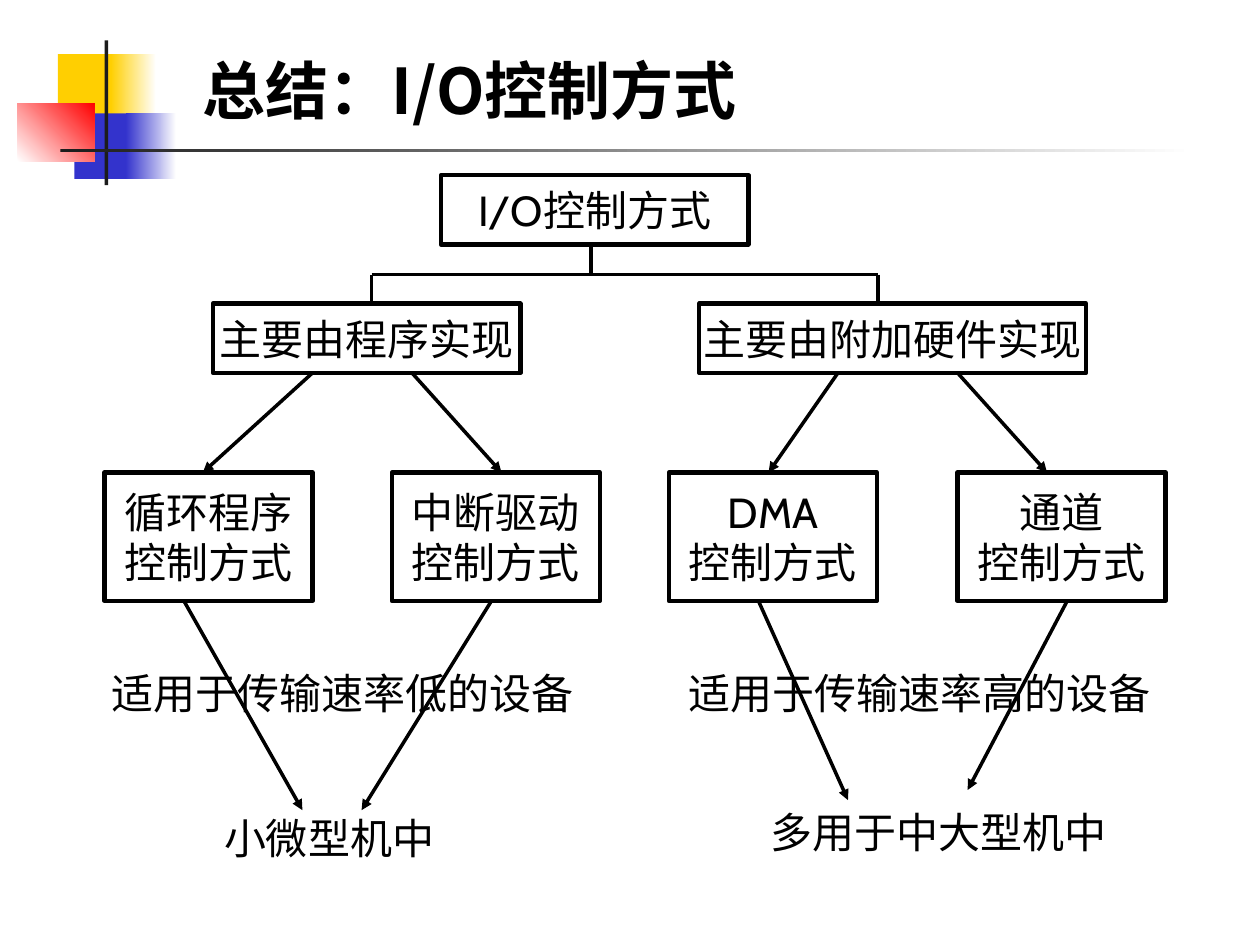
import dataclasses
import typing

import lxml.etree
import pptx
import pptx.dml.color
import pptx.enum.shapes
import pptx.enum.text
import pptx.oxml.ns
import pptx.util

Inches = pptx.util.Inches
Color = pptx.dml.color.RGBColor


@dataclasses.dataclass(frozen=True)
class Theme:
    ink: str = "000000"
    rule: str = "1C1C1C"
    paper: str = "FFFFFF"
    yellow: str = "FFCF01"
    blue: str = "3333CC"
    red: str = "FF0000"
    title_font: str = "Noto Sans CJK SC"
    body_font: str = "Cabin"
    title_size: int = 36
    body_size: int = 24
    border: float = 2.5
    connector: float = 2


THEME = Theme()


class Block(typing.NamedTuple):
    left: float
    top: float
    width: float
    height: float
    start: str
    end: typing.Optional[str] = None
    angle: float = 0


class Node(typing.NamedTuple):
    left: float
    top: float
    width: float
    height: float
    lines: tuple[str, ...]


class Link(typing.NamedTuple):
    x1: float
    y1: float
    x2: float
    y2: float
    arrow: bool = True


ROOT_TOP, BRANCH_TOP, METHOD_TOP = 1.39, 2.41, 3.75
BAR_HEIGHT, METHOD_HEIGHT, METHOD_WIDTH = 0.55, 1.02, 1.65
BRANCH_BOTTOM = BRANCH_TOP + BAR_HEIGHT
METHOD_BOTTOM = METHOD_TOP + METHOD_HEIGHT
FORK_Y, FORK_X = 2.18, (2.95, 6.97)

BLOCKS = [
    Block(0.46, 0.43, 0.48, 0.52, THEME.yellow),
    Block(0.88, 0.43, 0.36, 0.52, THEME.yellow, THEME.paper),
    Block(0.59, 0.9, 0.46, 0.52, THEME.blue),
    Block(1, 0.9, 0.4, 0.52, THEME.blue, THEME.paper),
    Block(0.14, 0.82, 0.61, 0.46, THEME.paper, THEME.red, 45),
    Block(0.83, 0.32, 0.03, 1.15, THEME.rule),
    Block(0.48, 1.18, 9, 0.03, THEME.rule, THEME.paper),
]

METHODS = [(0.83, "循环程序"), (3.11, "中断驱动"), (5.31, "DMA"), (7.6, "通道")]
NODES = [
    Node(3.5, ROOT_TOP, 2.44, BAR_HEIGHT, ("I/O控制方式",)),
    Node(1.69, BRANCH_TOP, 2.44, BAR_HEIGHT, ("主要由程序实现",)),
    Node(5.55, BRANCH_TOP, 3.07, BAR_HEIGHT, ("主要由附加硬件实现",)),
] + [
    Node(left, METHOD_TOP, METHOD_WIDTH, METHOD_HEIGHT, (name, "控制方式"))
    for left, name in METHODS
]

BRANCH_ARROWS = [(2.48, 1.61), (3.27, 3.98), (6.65, 6.1), (7.6, 8.31)]
USE_ARROWS = [(1.46, 2.4, 6.43), (3.9, 2.87, 6.43), (6.02, 6.73, 6.35), (8.47, 7.68, 6.27)]
LINKS = (
    [Link(4.69, ROOT_TOP + BAR_HEIGHT, 4.69, FORK_Y, False),
     Link(FORK_X[0], FORK_Y, FORK_X[1], FORK_Y, False)]
    + [Link(x, FORK_Y, x, BRANCH_TOP, False) for x in FORK_X]
    + [Link(x1, BRANCH_BOTTOM, x2, METHOD_TOP) for x1, x2 in BRANCH_ARROWS]
    + [Link(x1, METHOD_BOTTOM, x2, y2) for x1, x2, y2 in USE_ARROWS]
)

TITLE = Node(1.51, 0.36, 5.46, 0.7, ("总结：I/O控制方式",))
NOTES = [
    Node(1.68, 6.4, 1.9, 0.5, ("小微型机中",)),
    Node(6.02, 6.35, 2.9, 0.5, ("多用于中大型机中",)),
    Node(0.79, 5.25, 3.9, 0.5, ("适用于传输速率低的设备",)),
    Node(5.37, 5.25, 3.9, 0.5, ("适用于传输速率高的设备",)),
]


def add_element(parent, tag: str, **attributes: str) -> None:
    lxml.etree.SubElement(parent, pptx.oxml.ns.qn(tag), **attributes)


def place(item: typing.Union[Block, Node]) -> tuple:
    return tuple(Inches(length) for length in item[:4])


def write_lines(frame, lines: tuple[str, ...], font_name: str, size: int,
                bold: bool = False, centred: bool = False) -> None:
    frame.text = "\n".join(lines)
    for para in frame.paragraphs:
        para.alignment = (pptx.enum.text.PP_ALIGN.CENTER if centred
                          else pptx.enum.text.PP_ALIGN.LEFT)
        font = para.font
        font.name = font_name
        font.size = pptx.util.Pt(size)
        font.bold = bold
        font.color.rgb = Color.from_string(THEME.ink)
        properties = para._p.pPr.find(pptx.oxml.ns.qn("a:defRPr"))
        add_element(properties, "a:ea", typeface=font_name)


def draw_block(slide, block: Block) -> None:
    shape = slide.shapes.add_shape(pptx.enum.shapes.MSO_SHAPE.RECTANGLE, *place(block))
    shape.shadow.inherit = False
    shape.line.fill.background()
    if block.end is None:
        shape.fill.solid()
        shape.fill.fore_color.rgb = Color.from_string(block.start)
        return
    shape.fill.gradient()
    shape.fill.gradient_angle = block.angle
    for stop, position, color in zip(shape.fill.gradient_stops, (0, 1), (block.start, block.end)):
        stop.position = position
        stop.color.rgb = Color.from_string(color)


def draw_node(slide, node: Node) -> None:
    box = slide.shapes.add_shape(pptx.enum.shapes.MSO_SHAPE.RECTANGLE, *place(node))
    box.shadow.inherit = False
    box.fill.background()
    box.line.color.rgb = Color.from_string(THEME.ink)
    box.line.width = pptx.util.Pt(THEME.border)
    frame = box.text_frame
    frame.word_wrap = False
    frame.vertical_anchor = pptx.enum.text.MSO_ANCHOR.MIDDLE
    write_lines(frame, node.lines, THEME.body_font, THEME.body_size, centred=True)


def draw_link(slide, link: Link) -> None:
    ends = (Inches(length) for length in link[:4])
    line = slide.shapes.add_connector(pptx.enum.shapes.MSO_CONNECTOR.STRAIGHT, *ends)
    line.line.color.rgb = Color.from_string(THEME.ink)
    line.line.width = pptx.util.Pt(THEME.connector)
    properties = line._element.spPr
    if link.arrow:
        add_element(properties.find(pptx.oxml.ns.qn("a:ln")), "a:tailEnd", type="triangle")
    add_element(properties, "a:effectLst")


def draw_text(slide, node: Node, font_name: str, size: int,
              bold: bool = False, wrap: bool = False) -> None:
    frame = slide.shapes.add_textbox(*place(node)).text_frame
    frame.word_wrap = wrap
    frame.auto_size = pptx.enum.text.MSO_AUTO_SIZE.NONE
    write_lines(frame, node.lines, font_name, size, bold)


def main() -> None:
    deck = pptx.Presentation()
    deck.slide_width, deck.slide_height = Inches(10), Inches(7.5)
    slide = deck.slides.add_slide(deck.slide_layouts[6])
    for block in BLOCKS:
        draw_block(slide, block)
    draw_text(slide, TITLE, THEME.title_font, THEME.title_size, bold=True, wrap=True)
    for node in NODES:
        draw_node(slide, node)
    for link in LINKS:
        draw_link(slide, link)
    for note in NOTES:
        draw_text(slide, note, THEME.body_font, THEME.body_size)
    deck.save("out.pptx")


if __name__ == "__main__":
    main()
